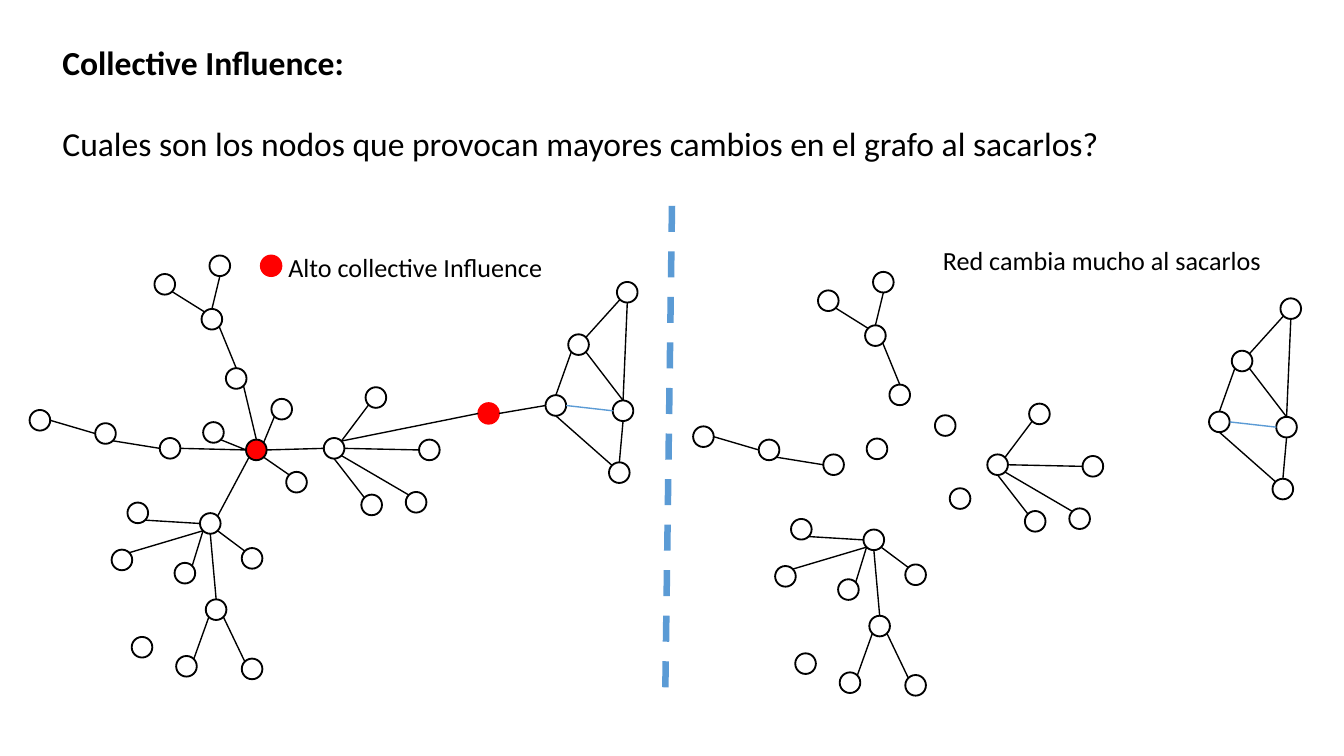
from math import cos, radians, sin

from lxml.etree import SubElement
from pptx import Presentation
from pptx.dml.color import RGBColor
from pptx.enum.dml import MSO_LINE
from pptx.enum.shapes import MSO_CONNECTOR, MSO_SHAPE
from pptx.oxml.ns import qn
from pptx.util import Cm, Pt

BLACK, RED, BLUE = "000000", "FF0000", "5B9BD5"
NODE_SIZE = 0.39
GRAPH_SHIFT = (12.54, 0.31)

NODES = {
    "north fork": (3.81, 5.84), "north left": (2.92, 5.18),
    "north right": (3.96, 4.83), "north stem": (4.27, 6.96),
    "hub": (4.65, 8.31), "hub top": (5.13, 7.54),
    "hub left": (3.84, 7.98), "hub bottom": (5.41, 8.92),
    "west near": (3.02, 8.28), "west mid": (1.8, 8), "west far": (0.56, 7.75),
    "south": (3.78, 9.7), "south a": (4.57, 10.36), "south fork": (3.89, 11.33),
    "south b": (3.3, 10.64), "south c": (2.11, 10.39), "south d": (2.41, 9.5),
    "fork left": (3.33, 12.4), "fork right": (4.57, 12.45),
    "loner": (2.49, 12.04),
    "east": (6.12, 8.28), "east a": (6.91, 7.32), "east b": (7.92, 8.31),
    "east c": (6.83, 9.35), "east d": (7.67, 9.3),
    "bridge": (9.04, 7.62),
    "mesh top": (11.66, 5.33), "mesh inner": (10.74, 6.32),
    "mesh left": (10.31, 7.47), "mesh right": (11.58, 7.57),
    "mesh bottom": (11.51, 8.74),
}
INFLUENCERS = {"hub": BLACK, "bridge": RED}

EDGES = [
    ("north left", "SE", "north fork", "NW"),
    ("north right", "S", "north fork", "N"),
    ("north fork", "SE", "north stem", "N"),
    ("north stem", "SE", "hub", "N"),
    ("hub left", "SE", "hub", "W"),
    ("hub top", "SW", "hub", "NE"),
    ("hub", "W", "west near", "E"),
    ("hub", "SE", "hub bottom", "NW"),
    ("hub", "E", "east", "W"),
    ("west near", "W", "west mid", "SE"),
    ("west mid", "W", "west far", "E"),
    ("hub", "SW", "south", "NE"),
    ("south", "SE", "south a", "NW"),
    ("south", "W", "south d", "SE"),
    ("south", "SW", "south b", "NE"),
    ("south", "S", "south fork", "N"),
    ("south", "SW", "south c", "NE"),
    ("south fork", "SW", "fork left", "NE"),
    ("south fork", "SE", "fork right", "NW"),
    ("east", "NE", "east a", "SW"),
    ("east", "E", "east b", "W"),
    ("east", "S", "east c", "NW"),
    ("east", "SE", "east d", "NW"),
    ("east", "NE", "bridge", "W"),
    ("bridge", "E", "mesh left", "W"),
    ("mesh left", "N", "mesh inner", "SW"),
    ("mesh inner", "NE", "mesh top", "SW"),
    ("mesh inner", "SE", "mesh right", "N"),
    ("mesh left", "E", "mesh right", "W"),
    ("mesh left", "S", "mesh bottom", "NW"),
    ("mesh right", "S", "mesh bottom", "N"),
    ("mesh top", "S", "mesh right", "N"),
]
BLUE_EDGE = ("mesh left", "mesh right")
COMPASS = ["E", "SE", "S", "SW", "W", "NW", "N", "NE"]

DIVIDER = ((12.7, 3.89), (12.57, 13.31))
LEGEND_DOT = (4.93, 4.83)
TEXTS = [
    ((0.99, 0.69, 23.5, 2.49), [
        ("Collective Influence:", {"size": Pt(18), "bold": True}, Pt(0)),
        ("Cuales son los nodos que provocan mayores cambios en el grafo al sacarlos?",
         {"size": Pt(18), "bold": False}, Pt(22)),
    ]),
    ((5.26, 4.65, 6.55, 0.76),
     [("Alto collective Influence", {"size": Pt(14)}, Pt(0))]),
    ((17.63, 4.52, 8.74, 0.76),
     [("Red cambia mucho al sacarlos", {"size": Pt(14)}, Pt(0))]),
]
FRAME = {"word_wrap": True, "margin_left": Cm(0.19), "margin_right": Cm(0.19),
         "margin_top": Cm(0.1), "margin_bottom": Cm(0.1)}


def rgb(value):
    return RGBColor.from_string(value)


def apply(target, formats):
    for attribute, value in formats.items():
        setattr(target, attribute, value)


def add_node(shapes, place, outline=BLACK, fill=None):
    node = shapes.add_shape(MSO_SHAPE.OVAL, *map(Cm, (*place, NODE_SIZE, NODE_SIZE)))
    node.shadow.inherit = False
    if fill:
        node.fill.solid()
        node.fill.fore_color.rgb = rgb(fill)
    else:
        node.fill.background()
    node.line.color.rgb = rgb(outline)
    node.line.width = Pt(1)


def add_line(shapes, start, end, color, formats):
    line = shapes.add_connector(MSO_CONNECTOR.STRAIGHT, *map(Cm, (*start, *end)))
    line.line.color.rgb = rgb(color)
    apply(line.line, formats)
    SubElement(line._element.spPr, qn("a:effectLst"))


def rim(place, side):
    angle = radians(45 * COMPASS.index(side))
    radius = NODE_SIZE / 2
    return (place[0] + radius * (1 + cos(angle)),
            place[1] + radius * (1 + sin(angle)))


def add_graph(shapes, shift, removed=()):
    places = {name: (x + shift[0], y + shift[1])
              for name, (x, y) in NODES.items() if name not in removed}
    for name, place in places.items():
        if name in INFLUENCERS:
            add_node(shapes, place, INFLUENCERS[name], RED)
        else:
            add_node(shapes, place)
    for first, first_side, second, second_side in EDGES:
        if first in places and second in places:
            color = BLUE if (first, second) == BLUE_EDGE else BLACK
            add_line(shapes, rim(places[first], first_side),
                     rim(places[second], second_side), color, {"width": Pt(0.75)})


def add_text(shapes, box, lines):
    frame = shapes.add_textbox(*map(Cm, box)).text_frame
    apply(frame, FRAME)
    for index, (words, formats, gap) in enumerate(lines):
        paragraph = frame.add_paragraph() if index else frame.paragraphs[0]
        paragraph.space_before = gap
        run = paragraph.add_run()
        run.text = words
        apply(run.font, {"name": "Calibri", **formats})
        run.font.color.rgb = rgb(BLACK)


def main():
    deck = Presentation()
    apply(deck, {"slide_width": Cm(25.4), "slide_height": Cm(14.29)})
    shapes = deck.slides.add_slide(deck.slide_layouts[6]).shapes
    add_graph(shapes, (0, 0))
    add_graph(shapes, GRAPH_SHIFT, removed=INFLUENCERS)
    add_line(shapes, *DIVIDER, BLUE, {"width": Pt(3.5), "dash_style": MSO_LINE.DASH})
    add_node(shapes, LEGEND_DOT, RED, RED)
    for box, lines in TEXTS:
        add_text(shapes, box, lines)
    deck.save("out.pptx")


if __name__ == "__main__":
    main()
